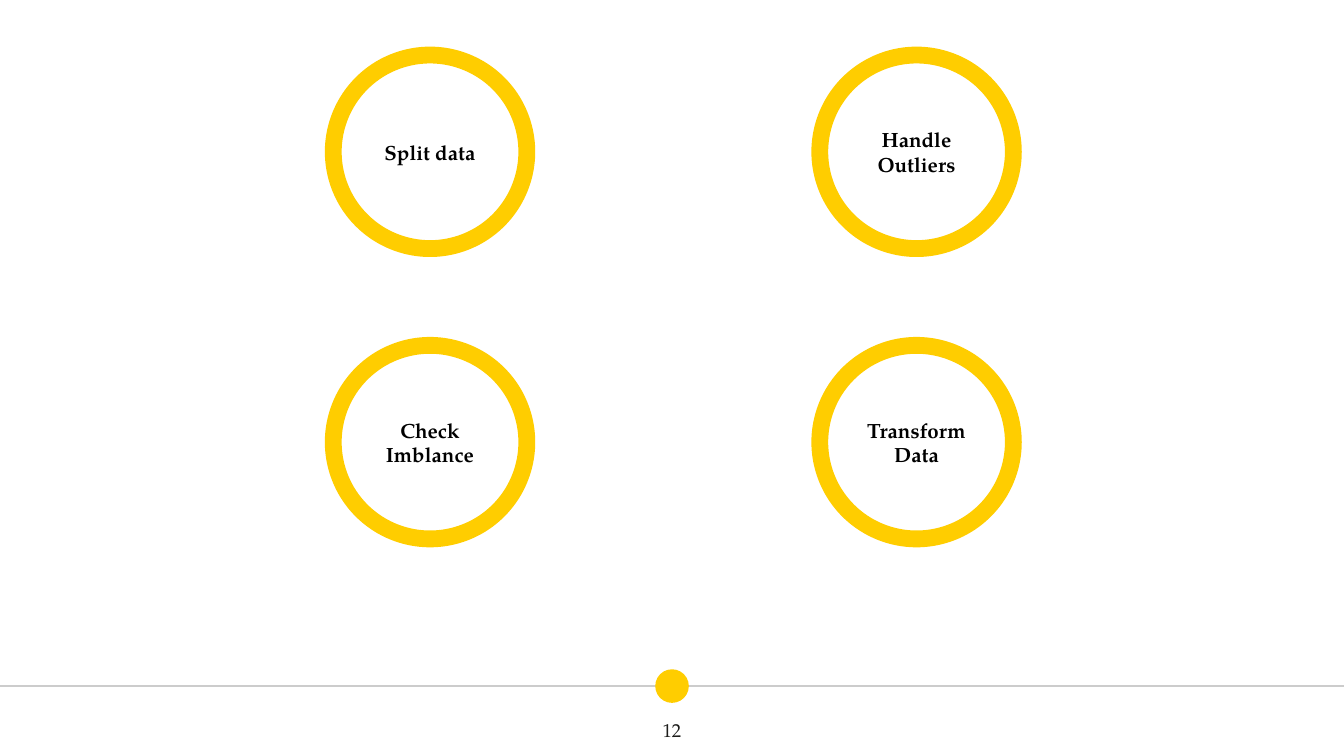
from lxml import etree
from pptx import Presentation
from pptx.dml.color import RGBColor
from pptx.enum.shapes import MSO_CONNECTOR, MSO_SHAPE
from pptx.enum.text import MSO_ANCHOR, PP_ALIGN
from pptx.oxml.ns import qn
from pptx.util import Inches, Pt

STRAIGHT = MSO_CONNECTOR.STRAIGHT
OVAL = MSO_SHAPE.OVAL
MIDDLE = MSO_ANCHOR.MIDDLE
CENTER = PP_ALIGN.CENTER

FONT = "TeX Gyre Pagella"
YELLOW = "FFCD00"
GREY = "CCCCCC"
BLACK = "000000"
DARK = "1D1D1B"
WIDTH = 10
HEIGHT = WIDTH * 9 / 16
STEPS = [["Split data", "Handle Outliers"], ["Check Imblance", "Transform Data"]]


def color(value):
    return RGBColor.from_string(value)


def add_label(s, text, size, hex_color, bold=False):
    tf = s.text_frame
    tf.word_wrap = True
    tf.vertical_anchor = MIDDLE
    tf.margin_left = tf.margin_right = Inches(0.1)
    tf.margin_top = tf.margin_bottom = Inches(0.1)
    p = tf.paragraphs[0]
    p.alignment = CENTER
    r = p.add_run()
    r.text = text
    r.font.name = FONT
    r.font.size = Pt(size)
    r.font.bold = bold
    r.font.color.rgb = color(hex_color)


def add_circle(slide, left, top, size):
    s = slide.shapes.add_shape(OVAL, Inches(left), Inches(top), Inches(size), Inches(size))
    s.shadow.inherit = False
    return s


def add_footer(slide, left, top, width, number):
    center = left + width / 2
    dot, box_width, box_height, bleed = 0.25, 0.6, 0.4, 0.01
    axis = top + dot / 2
    line = slide.shapes.add_connector(
        STRAIGHT, Inches(left - bleed), Inches(axis), Inches(left + width + bleed), Inches(axis))
    line.line.color.rgb = color(GREY)
    line.line.width = Pt(0.75)
    etree.SubElement(line._element.spPr, qn("a:effectLst"))

    s = add_circle(slide, center - dot / 2, top, dot)
    s.fill.solid()
    s.fill.fore_color.rgb = color(YELLOW)
    s.line.fill.background()

    s = slide.shapes.add_textbox(
        Inches(center - box_width / 2), Inches(top + dot), Inches(box_width), Inches(box_height))
    add_label(s, number, 10, DARK)


def add_steps(slide, left, top, width, height, steps):
    size = 1.44
    col_step = (width - size) / (len(steps[0]) - 1)
    row_step = (height - size) / (len(steps) - 1)
    for row, labels in enumerate(steps):
        for col, text in enumerate(labels):
            s = add_circle(slide, left + col * col_step, top + row * row_step, size)
            s.fill.background()
            s.line.color.rgb = color(YELLOW)
            s.line.width = Pt(9)
            add_label(s, text, 11, BLACK, bold=True)


def main():
    prs = Presentation()
    prs.slide_width = Inches(WIDTH)
    prs.slide_height = Inches(HEIGHT)
    slide = prs.slides.add_slide(prs.slide_layouts[6])
    add_footer(slide, 0, 4.98, WIDTH, "12")
    add_steps(slide, 2.48, 0.41, 5.06, 3.6, STEPS)
    prs.save("out.pptx")


if __name__ == "__main__":
    main()
